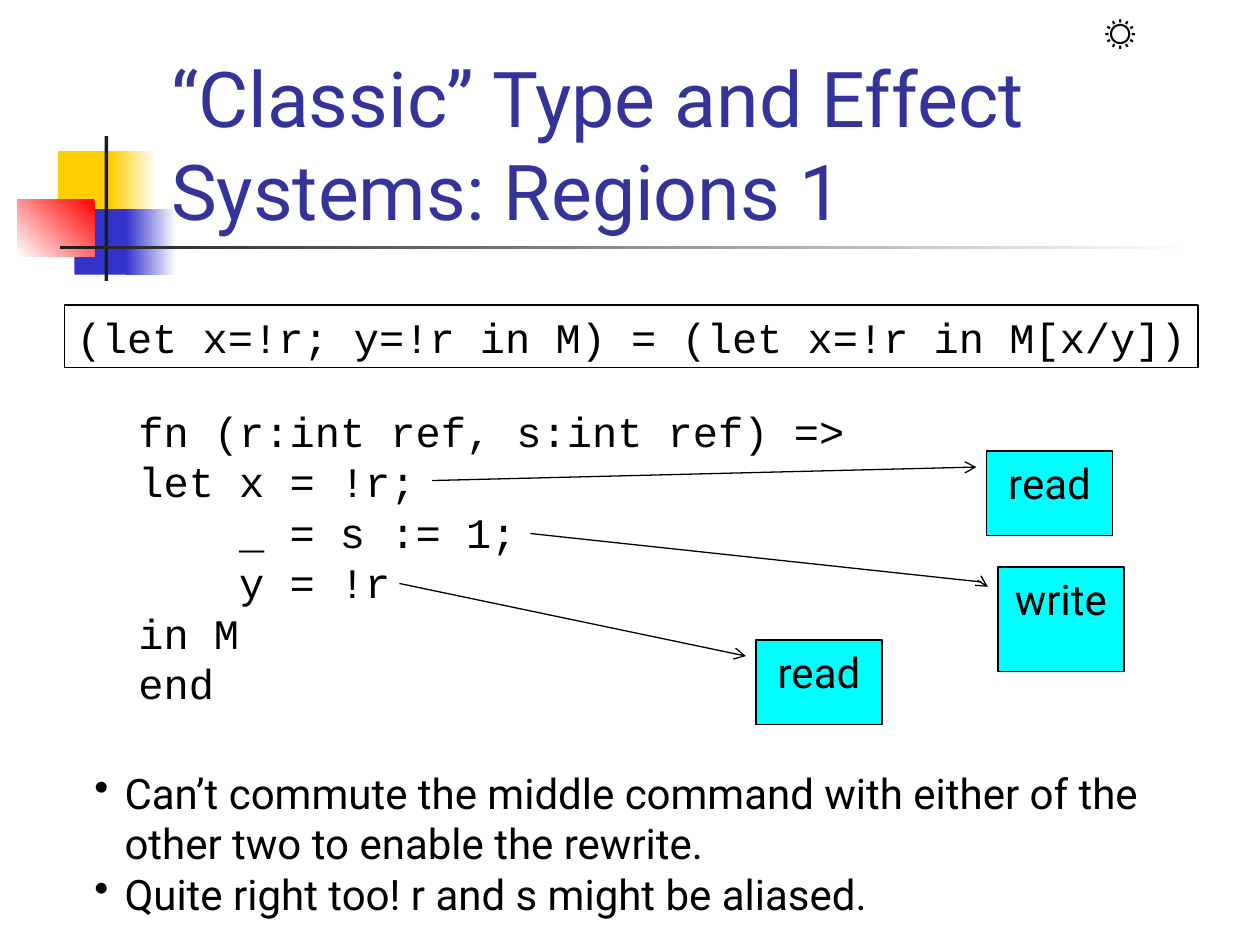
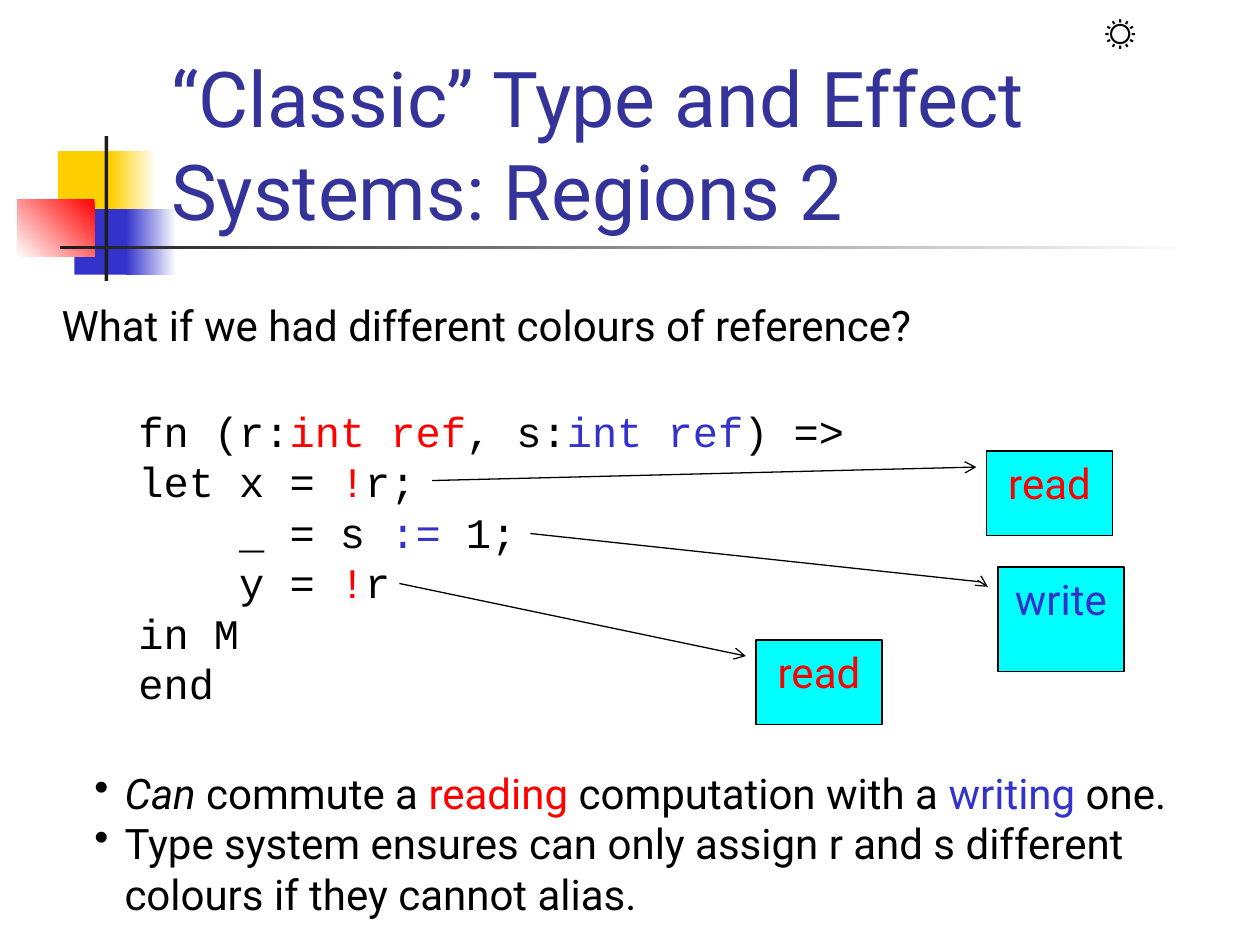
from dataclasses import dataclass

from lxml import etree
from pptx import Presentation
from pptx import util as u
from pptx.dml.color import RGBColor
from pptx.enum import shapes, text
from pptx.oxml import ns


@dataclass(frozen=True)
class Theme:
    title: str = "333399"
    ink: str = "000000"
    white: str = "FFFFFF"
    yellow: str = "FFCF01"
    blue: str = "3333CC"
    red: str = "FF0000"
    bar: str = "1C1C1C"
    effect: str = "00FFFF"
    sans: str = "Roboto"
    mono: str = "Courier New"
    symbol: str = "Calibri"
    title_size: int = 44
    body_size: int = 24
    outline: float = 0.75
    code_indent: float = 0.8
    bullet_indent: float = 0.24


THEME = Theme()
EFFECT_BOXES = [
    ("read", (7.83, 3.58, 1, 0.67), (0.19, -0.08, 0.19, -0.08, 0.35, -4.4)),
    ("write", (7.92, 4.5, 1, 0.83), (0.19, -0.08, 0.15, -0.08, -0.32, -3.71)),
    ("read", (6, 5.08, 1, 0.67), (0.19, -0.08, 0.19, -0.08, -0.67, -2.83)),
]


def color(value):
    return RGBColor.from_string(value)


def inches(place):
    return [u.Inches(length) for length in place]


def red(words):
    return words, THEME.red, False


def blue(words):
    return words, THEME.blue, False


def italic(words):
    return words, THEME.ink, True


def write_paragraph(paragraph, pieces, font, size, ink):
    for piece in [pieces] if isinstance(pieces, (str, tuple)) else pieces:
        words, piece_color, slanted = piece if isinstance(piece, tuple) else (piece, ink, False)
        run = paragraph.add_run()
        run.text = words
        run.font.name = font
        run.font.size = u.Pt(size)
        run.font.italic = slanted
        run.font.color.rgb = color(piece_color)


def write_text(shape, paragraphs, font=THEME.sans, size=THEME.body_size, ink=THEME.ink,
               wrap=True, anchor=text.MSO_ANCHOR.TOP, align=text.PP_ALIGN.LEFT):
    frame = shape.text_frame
    frame.word_wrap = wrap
    frame.vertical_anchor = anchor
    for index, pieces in enumerate(paragraphs):
        paragraph = frame.add_paragraph() if index else frame.paragraphs[0]
        paragraph.alignment = align
        write_paragraph(paragraph, pieces, font, size, ink)
    return frame.paragraphs


def add_text(slide, place, paragraphs, **style):
    return write_text(slide.shapes.add_textbox(*inches(place)), paragraphs, **style)


def indent(paragraph, margin, first=0):
    properties = paragraph._p.get_or_add_pPr()
    properties.set("marL", str(u.Inches(margin)))
    properties.set("indent", str(u.Inches(first)))
    return properties


def add_block(slide, place, start, end=None, angle=180):
    shape = slide.shapes.add_shape(shapes.MSO_SHAPE.RECTANGLE, *inches(place))
    shape.shadow.inherit = False
    shape.line.fill.background()
    if end is None:
        shape.fill.solid()
        shape.fill.fore_color.rgb = color(start)
        return
    shape.fill.gradient()
    shape.fill.gradient_angle = angle
    for stop, value in zip(shape.fill.gradient_stops, (start, end)):
        stop.color.rgb = color(value)


def add_outlined(slide, kind, place):
    shape = slide.shapes.add_shape(kind, *inches(place))
    shape.shadow.inherit = False
    shape.fill.background()
    shape.line.color.rgb = color(THEME.ink)
    shape.line.width = u.Pt(THEME.outline)
    return shape


def add_decoration(slide):
    add_block(slide, (0.46, 1.2, 0.48, 0.52), THEME.yellow)
    add_block(slide, (0.88, 1.2, 0.36, 0.52), THEME.white, THEME.yellow)
    add_block(slide, (0.59, 1.66, 0.46, 0.52), THEME.blue)
    add_block(slide, (1, 1.66, 0.4, 0.52), THEME.white, THEME.blue)
    add_block(slide, (0.14, 1.58, 0.61, 0.46), THEME.red, THEME.white, angle=225)
    add_block(slide, (0.83, 1.08, 0.03, 1.15), THEME.bar)
    add_block(slide, (0.48, 1.95, 9, 0.03), THEME.white, THEME.bar)
    add_text(slide, (8.67, 0, 1.33, 0.5), ["☼"], font=THEME.symbol)


def add_titled_slide(presentation, title):
    slide = presentation.slides.add_slide(presentation.slide_layouts[6])
    add_decoration(slide)
    add_text(slide, (1.26, 0.67, 8.52, 1.25), [title], size=THEME.title_size,
             ink=THEME.title, anchor=text.MSO_ANCHOR.BOTTOM)
    return slide


def add_equation(slide, equation):
    shape = add_outlined(slide, shapes.MSO_SHAPE.RECTANGLE, (0.51, 2.42, 9, 0.5))
    write_text(shape, [equation], font=THEME.mono, wrap=False)


def add_code(slide, lines, indented=(2, 3)):
    paragraphs = add_text(slide, (1, 3.17, 5.8, 2.5), lines, font=THEME.mono, wrap=False)
    for index in indented:
        indent(paragraphs[index], THEME.code_indent)


def add_effects(slide, inks):
    for label, place, adjustments in EFFECT_BOXES:
        shape = add_outlined(slide, shapes.MSO_SHAPE.LINE_CALLOUT_2, place)
        shape.fill.solid()
        shape.fill.fore_color.rgb = color(THEME.effect)
        for index, value in enumerate(adjustments):
            shape.adjustments[index] = value
        etree.SubElement(shape.line._get_or_add_ln(), ns.qn("a:headEnd"), type="arrow")
        write_text(shape, [label], ink=inks[label], align=text.PP_ALIGN.CENTER)


def add_bullets(slide, points):
    for paragraph in add_text(slide, (0.65, 6.04, 8.93, 1.3), points):
        properties = indent(paragraph, THEME.bullet_indent, -THEME.bullet_indent)
        bullet_color = etree.SubElement(properties, ns.qn("a:buClr"))
        etree.SubElement(bullet_color, ns.qn("a:srgbClr"), val=THEME.ink)
        etree.SubElement(properties, ns.qn("a:buChar"), char="•")


def build_regions_1(presentation):
    slide = add_titled_slide(presentation, "“Classic” Type and Effect Systems: Regions 1")
    add_equation(slide, "(let x=!r; y=!r in M) = (let x=!r in M[x/y])")
    add_code(slide, [
        "fn (r:int ref, s:int ref) =>", "let x = !r;", "_ = s := 1;", "y = !r", "in M", "end",
    ])
    add_effects(slide, {"read": THEME.ink, "write": THEME.ink})
    add_bullets(slide, [
        "Can’t commute the middle command with either of the other two to enable the rewrite.",
        "Quite right too! r and s might be aliased.",
    ])


def build_regions_2(presentation):
    slide = add_titled_slide(presentation, "“Classic” Type and Effect Systems: Regions 2")
    add_code(slide, [
        ["fn (r:", red("int ref"), ", s:", blue("int ref"), ") =>"],
        ["let x = ", red("!"), "r;"],
        ["_ = s ", blue(":="), " 1;"],
        ["y = ", red("!"), "r"],
        "in M",
        "end",
    ])
    add_effects(slide, {"read": THEME.red, "write": THEME.blue})
    add_bullets(slide, [
        [italic("Can"), " commute a ", red("reading"), " computation with a ",
         blue("writing"), " one."],
        "Type system ensures can only assign r and s different colours if they cannot alias.",
    ])
    add_text(slide, (0.39, 2.33, 7.36, 0.5), ["What if we had different colours of reference?"])


def main():
    presentation = Presentation()
    presentation.slide_width, presentation.slide_height = inches((10, 7.5))
    build_regions_1(presentation)
    build_regions_2(presentation)
    presentation.save("out.pptx")


if __name__ == "__main__":
    main()
